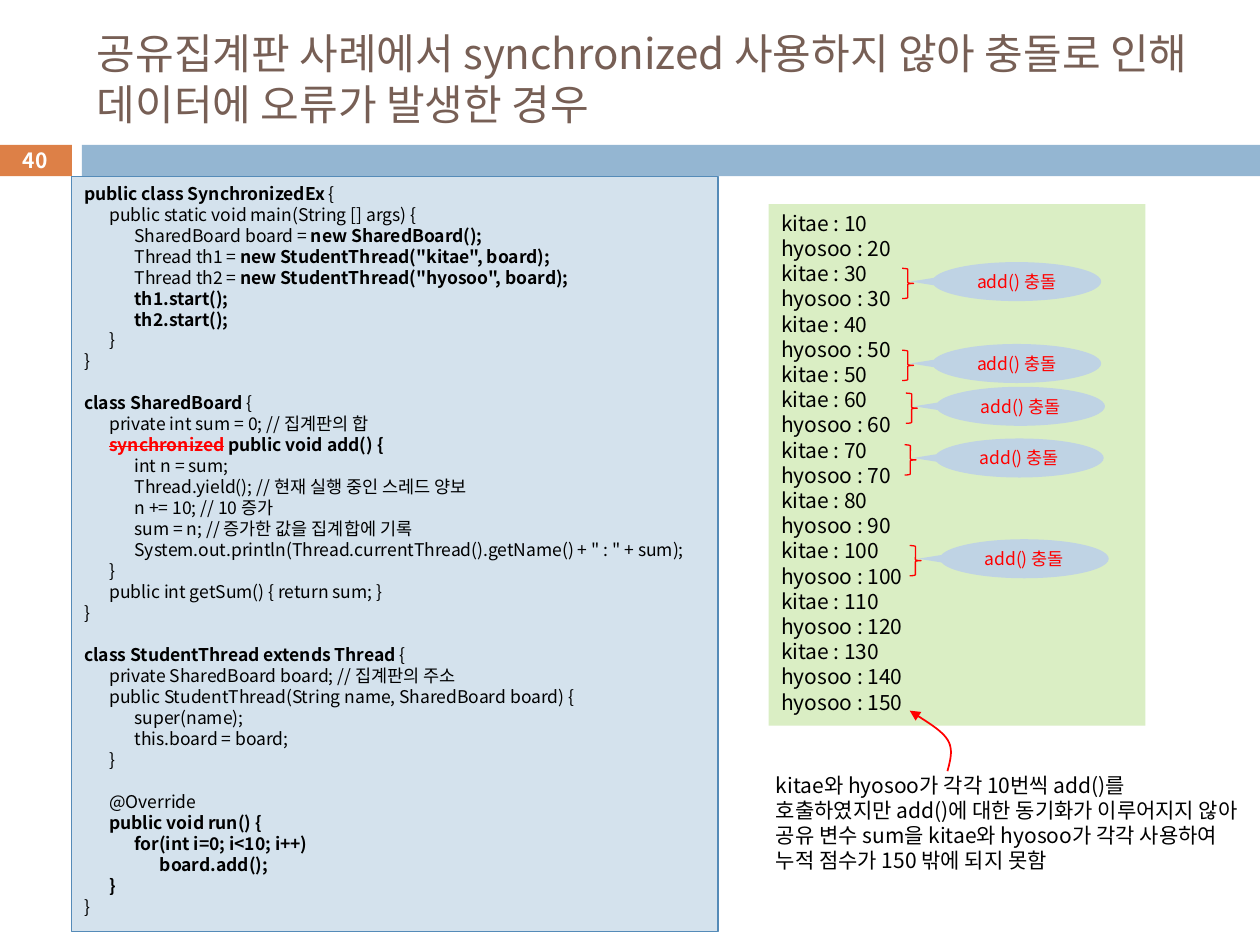
from lxml.etree import SubElement
from pptx import Presentation
from pptx.dml.color import RGBColor
from pptx.enum.shapes import MSO_SHAPE
from pptx.enum.text import MSO_ANCHOR, PP_ALIGN
from pptx.oxml.ns import qn
from pptx.util import Inches, Pt

THEME = {
    "font": "Noto Sans CJK KR",
    "title": "775F55", "text": "000000", "number": "FFFFFF", "alert": "FF0000",
    "tab": "DD8047", "band": "94B6D2", "callout": "BFD3E4", "output": "DAEEC4",
    "code": "D4E2ED", "code_line": "558BB8",
    "title_size": 24, "body_size": 12, "code_size": 10,
}
INDENT = 4  # leading spaces per level in the classes; each level is one tab stop
# A bar switches bold on or off.
MAIN_CLASS = """\
|public class SynchronizedEx |{
    public static void main(String [] args) {
        SharedBoard board = |new SharedBoard();
        Thread th1 = |new StudentThread("kitae", board);
        Thread th2 = |new StudentThread("hyosoo", board);
        |th1.start();
        |th2.start();
    }
}"""
BOARD_CLASS = """\
|class SharedBoard| {
    private int sum = 0; // 집계판의 합
    |synchronized|| public void add() {
        int n = sum;
        Thread.yield(); // 현재 실행 중인 스레드 양보
        n += 10; // 10 증가
        sum = n; // 증가한 값을 집계합에 기록
        System.out.println(Thread.currentThread().getName() + " : " + sum);
    }
    public int getSum() { return sum; }
}"""
THREAD_CLASS = """\
|class StudentThread extends Thread |{
    private SharedBoard board; // 집계판의 주소
    public StudentThread(String name, SharedBoard board) {
        super(name);
        this.board = board;
    }

    @Override
    |public void run() {
        |for(int i=0; i<10; i++)
            |board.add();
    |}
}"""
OUTPUT = [("kitae", 10), ("hyosoo", 20), ("kitae", 30), ("hyosoo", 30), ("kitae", 40),
          ("hyosoo", 50), ("kitae", 50), ("kitae", 60), ("hyosoo", 60), ("kitae", 70),
          ("hyosoo", 70), ("kitae", 80), ("hyosoo", 90), ("kitae", 100), ("hyosoo", 100),
          ("kitae", 110), ("hyosoo", 120), ("kitae", 130), ("hyosoo", 140), ("hyosoo", 150)]

prs = Presentation()
prs.slide_width, prs.slide_height = Inches(10), Inches(7.5)
s = prs.slides.add_slide(prs.slide_layouts[6])
X, Y = prs.slide_width / 100, prs.slide_height / 100  # one percent of the slide


def add_box(box, fill=None, line=None, kind=MSO_SHAPE.RECTANGLE, weight=0.75):
    """Add a shape; box is left, top, width, height in percent of the slide."""
    left, top, width, height = box
    sp = s.shapes.add_shape(kind, round(left * X), round(top * Y),
                            round(width * X), round(height * Y))
    sp.shadow.inherit = False
    if fill:
        sp.fill.solid()
        sp.fill.fore_color.rgb = RGBColor.from_string(THEME[fill])
    else:
        sp.fill.background()
    if line:
        sp.line.color.rgb = RGBColor.from_string(THEME[line])
        sp.line.width = Pt(weight)
    else:
        sp.line.fill.background()
    return sp


def write(sp, lines, size, color="text", align=PP_ALIGN.LEFT, anchor=MSO_ANCHOR.MIDDLE):
    """Fill a shape with lines; bars toggle bold, an empty line becomes space before."""
    tf = sp.text_frame
    tf.word_wrap = True
    tf.vertical_anchor = anchor
    pitch = Pt(size * 1.2)
    p, gap = None, 0
    for line in lines:
        if not line:
            gap += pitch
            continue
        p = tf.add_paragraph() if p is not None else tf.paragraphs[0]
        p.alignment = align
        p.line_spacing = pitch
        if gap:
            p.space_before, gap = Pt(gap / Pt(1)), 0
        body = line.lstrip(" ")
        depth = (len(line) - len(body)) // INDENT
        if depth:
            tabs = SubElement(p._p.get_or_add_pPr(), qn("a:tabLst"))
            for level in range(1, depth + 1):
                SubElement(tabs, qn("a:tab"), pos=str(round(2 * level * X)), algn="l")
        p.font.size = Pt(size)
        p.font.name = THEME["font"]
        p.font.color.rgb = RGBColor.from_string(THEME[color])
        for i, part in enumerate(("\t" * depth + body).split("|")):
            if not part:
                continue
            r = p.add_run()
            r.text = part
            if i % 2:
                r.font.bold = True
            if part == "synchronized":
                r.font.color.rgb = RGBColor.from_string(THEME["alert"])
                r._r.get_or_add_rPr().set("strike", "sngStrike")
            SubElement(r._r.get_or_add_rPr(), qn("a:ea"), typeface=THEME["font"])


# Title and header band
number = add_box((-0.1, 15.33, 5.8, 3.33), "tab")
number.text_frame.margin_left = number.text_frame.margin_right = 0
number.text_frame.margin_top = number.text_frame.margin_bottom = 0
write(number, ["|40"], THEME["body_size"], "number", PP_ALIGN.CENTER)
add_box((6.5, 15.33, 93.5, 3.33), "band")
title = s.shapes.add_textbox(round(6.7 * X), round(3.33 * Y), round(89.2 * X), round(9.87 * Y))
write(title, ["공유집계판 사례에서 synchronized 사용하지 않아 충돌로 인해 데이터에 오류가 발생한 경우"],
      THEME["title_size"], "title")

# Program listing
listing = [*MAIN_CLASS.splitlines(), "", *BOARD_CLASS.splitlines(), "", *THREAD_CLASS.splitlines()]
write(add_box((5.7, 18.67, 51.3, 79.87), "code", "code_line"), listing,
      THEME["code_size"], anchor=MSO_ANCHOR.TOP)

# Program output
write(add_box((61, 21.6, 29.9, 55.2), "output"), [f"{name} : {total}" for name, total in OUTPUT],
      THEME["body_size"], anchor=MSO_ANCHOR.TOP)

# Collisions: a brace beside two output lines and a callout pointing at it
for left, top in [(71.6, 28.4), (71.6, 37.07), (71.9, 41.6), (71.8, 47.07), (72.2, 57.73)]:
    add_box((left, top, 0.9, 3.2), None, "alert", MSO_SHAPE.RIGHT_BRACE)
    callout = add_box((left + 2.4, top - 0.67, 13.4, 4.13), "callout",
                      kind=MSO_SHAPE.OVAL_CALLOUT)
    callout.adjustments[0], callout.adjustments[1] = -0.63, 0
    write(callout, ["add() 충돌"], THEME["code_size"], "alert", PP_ALIGN.CENTER)

# Explanation and the curved arrow to the last total
note = s.shapes.add_textbox(round(60.6 * X), round(81.07 * Y), round(39 * X), round(12.13 * Y))
write(note, ["kitae와 hyosoo가 각각 10번씩 add()를 호출하였지만 add()에 대한 동기화가 이루어지지 않아 "
             "공유 변수 sum을 kitae와 hyosoo가 각각 사용하여 누적 점수가 150 밖에 되지 못함"],
      THEME["body_size"], anchor=MSO_ANCHOR.TOP)

STEPS = 12
curve = [(75.2, 81.6), (75.4, 80.53), (75.7, 79.33), (75.2, 78.27),
         (74.7, 77.2), (73.4, 76.27), (72.2, 75.2)]
points = []
for start in (0, 3):
    bend = curve[start:start + 4]
    for step in range(1, STEPS + 1):
        t = step / STEPS
        weights = ((1 - t) ** 3, 3 * t * (1 - t) ** 2, 3 * t * t * (1 - t), t ** 3)
        points.append((round(sum(w * x for w, (x, y) in zip(weights, bend)) * X),
                       round(sum(w * y for w, (x, y) in zip(weights, bend)) * Y)))
pen = s.shapes.build_freeform(round(curve[0][0] * X), round(curve[0][1] * Y))
pen.add_line_segments(points, close=False)
arrow = pen.convert_to_shape()
arrow.shadow.inherit = False
arrow.fill.background()
arrow.line.color.rgb = RGBColor.from_string(THEME["alert"])
arrow.line.width = Pt(1)
SubElement(arrow.line._get_or_add_ln(), qn("a:tailEnd"), type="triangle")

prs.save("out.pptx")
